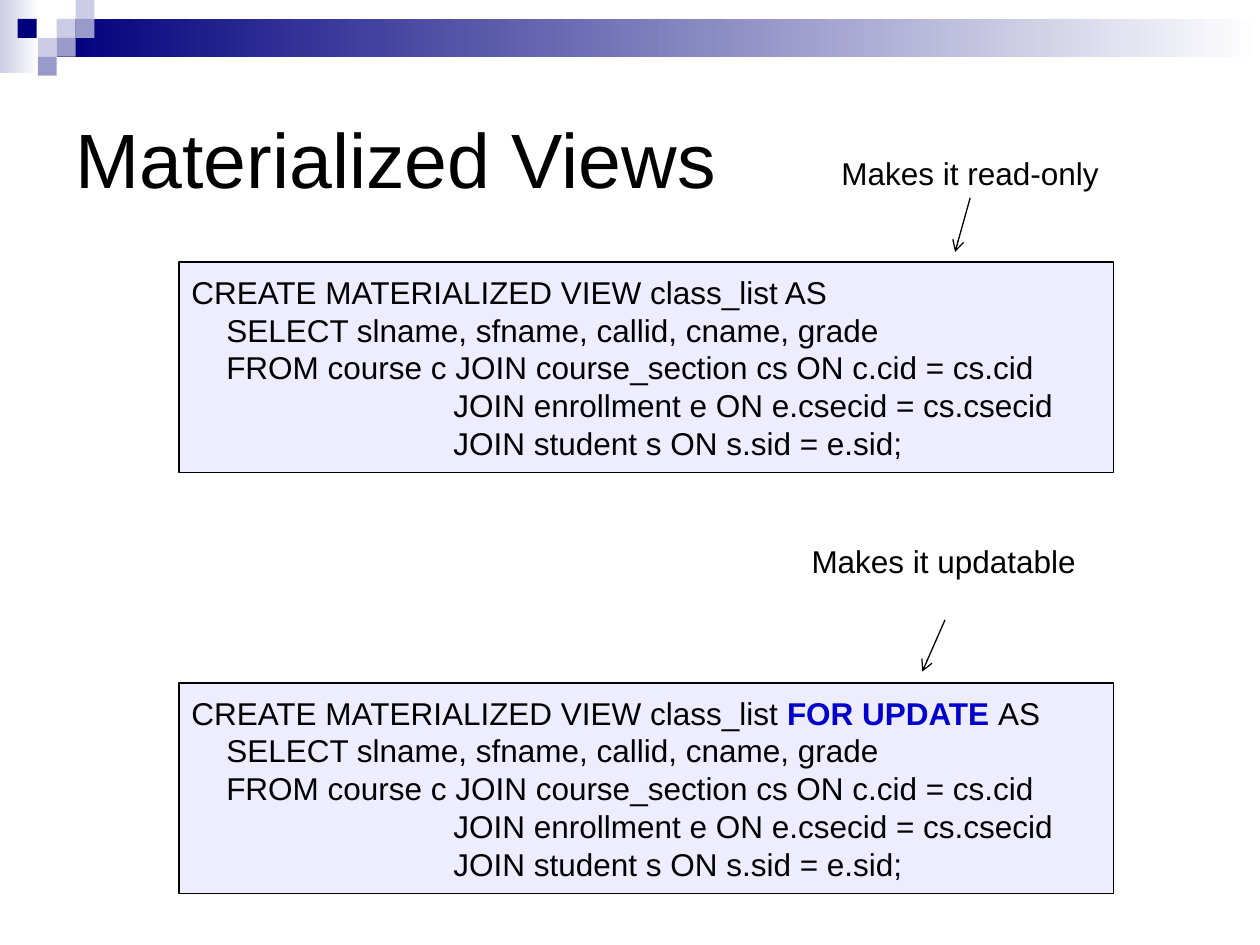
from dataclasses import dataclass

from lxml import etree
from pptx import Presentation
from pptx.dml.color import RGBColor
from pptx.enum.shapes import MSO_CONNECTOR, MSO_SHAPE
from pptx.enum.text import MSO_ANCHOR, PP_ALIGN
from pptx.oxml.ns import qn
from pptx.util import Inches, Pt

RECT = MSO_SHAPE.RECTANGLE
STRAIGHT = MSO_CONNECTOR.STRAIGHT
MIDDLE = MSO_ANCHOR.MIDDLE
LEFT, CENTER = PP_ALIGN.LEFT, PP_ALIGN.CENTER


@dataclass(frozen=True)
class Theme:
    font: str = "Arial"
    title: Pt = Pt(44)
    body: Pt = Pt(18)
    line: Pt = Pt(0.75)
    black: RGBColor = RGBColor(0x00, 0x00, 0x00)
    white: RGBColor = RGBColor(0xFF, 0xFF, 0xFF)
    navy: RGBColor = RGBColor(0x00, 0x00, 0x7D)
    mid: RGBColor = RGBColor(0x99, 0x99, 0xCC)
    pale: RGBColor = RGBColor(0xCC, 0xCC, 0xE6)
    code_fill: RGBColor = RGBColor(0x99, 0x99, 0xFF)
    keyword: RGBColor = RGBColor(0x00, 0x00, 0xCC)


theme = Theme()


def add_rect(x, y, w, h):
    sp = s.shapes.add_shape(RECT, Inches(x), Inches(y), Inches(w), Inches(h))
    sp.shadow.inherit = False
    sp.line.fill.background()
    return sp


def add_run(p, text, **changes):
    r = p.add_run()
    r.text = text
    color = changes.pop("color", theme.black)
    formats = {"name": theme.font, "size": theme.body, "bold": False} | changes
    for name, value in formats.items():
        setattr(r.font, name, value)
    r.font.color.rgb = color


prs = Presentation()
prs.slide_width, prs.slide_height = Inches(10), Inches(7.5)
s = prs.slides.add_slide(prs.slide_layouts[5])

# Header bands fading to white
for x, y, w, h, color in [(0, 0, 0.31, 0.58, theme.pale),
                          (0.45, 0.15, 9.55, 0.3, theme.navy)]:
    fill = add_rect(x, y, w, h).fill
    fill.gradient()
    fill.gradient_angle = 0
    for stop, position, rgb in zip(fill.gradient_stops, (0, 1), (color, theme.white)):
        stop.position = position
        stop.color.rgb = rgb

# Header mosaic
SQUARE = 0.15
for x, row, color in [(0.45, 1, theme.pale), (0.6, 0, theme.pale),
                      (0.6, 1, theme.mid), (0.3, 2, theme.pale),
                      (0.14, 1, theme.navy), (0.45, 2, theme.mid),
                      (0.3, 3, theme.mid)]:
    fill = add_rect(x, row * SQUARE, SQUARE, SQUARE).fill
    fill.solid()
    fill.fore_color.rgb = color

title = s.shapes.title
title.left, title.top = Inches(0.5), Inches(0.5)
title.width, title.height = Inches(9), Inches(1.5)
title.text_frame.vertical_anchor = MIDDLE
p = title.text_frame.paragraphs[0]
p.alignment = LEFT
add_run(p, "Materialized Views", size=theme.title)

# SQL statements
QUERY = [
    "    SELECT slname, sfname, callid, cname, grade",
    "    FROM course c JOIN course_section cs ON c.cid = cs.cid",
    "                              JOIN enrollment e ON e.csecid = cs.csecid",
    "                              JOIN student s ON s.sid = e.sid;",
]
for y, keyword in [(2.08, ""), (5.42, "FOR UPDATE ")]:
    sp = add_rect(1.42, y, 7.42, 1.67)
    sp.fill.solid()
    sp.fill.fore_color.rgb = theme.code_fill
    rgb = sp.fill._xPr.find(qn("a:solidFill"))[0]
    etree.SubElement(rgb, qn("a:alpha"), val="17000")
    sp.line.color.rgb = theme.black
    sp.line.width = theme.line
    tf = sp.text_frame
    tf.word_wrap = True
    tf.vertical_anchor = MIDDLE
    p = tf.paragraphs[0]
    p.alignment = LEFT
    add_run(p, "CREATE MATERIALIZED VIEW class_list ")
    if keyword:
        add_run(p, keyword, bold=True, color=theme.keyword)
    add_run(p, "AS")
    for code in QUERY:
        p = tf.add_paragraph()
        p.alignment = LEFT
        add_run(p, code)

# Notes with arrows to the statements
for text, x, y, w, align, start, end in [
    ("Makes it read-only", 6.58, 1.17, 2.24, LEFT, (7.7, 1.57), (7.58, 2)),
    ("Makes it updatable", 6.34, 4.25, 2.3, CENTER, (7.5, 4.92), (7.32, 5.33)),
]:
    box = s.shapes.add_textbox(Inches(x), Inches(y), Inches(w), Inches(0.4))
    box.text_frame.word_wrap = False
    p = box.text_frame.paragraphs[0]
    p.alignment = align
    add_run(p, text)

    arrow = s.shapes.add_connector(STRAIGHT, *map(Inches, start + end))
    arrow.line.color.rgb = theme.black
    arrow.line.width = theme.line
    etree.SubElement(arrow.line._get_or_add_ln(), qn("a:tailEnd"), type="arrow")
    etree.SubElement(arrow._element.spPr, qn("a:effectLst"))

prs.save("out.pptx")
